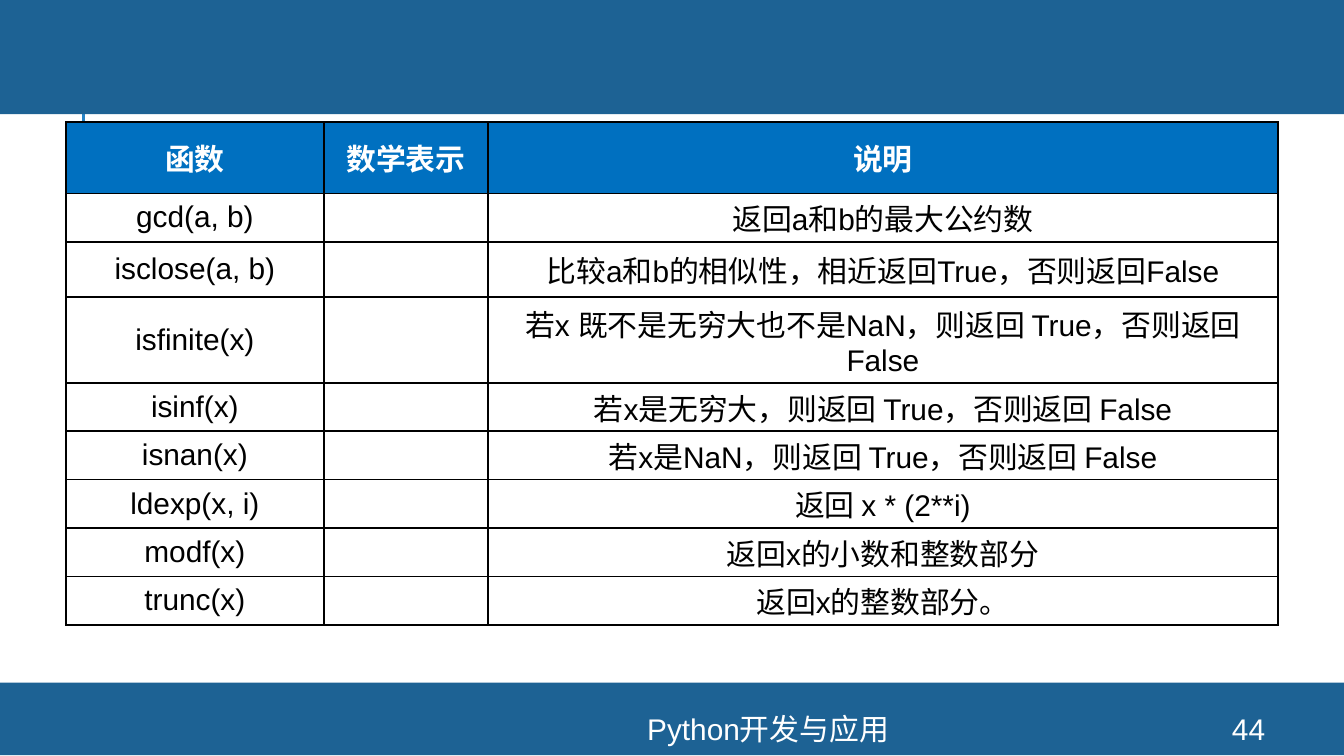
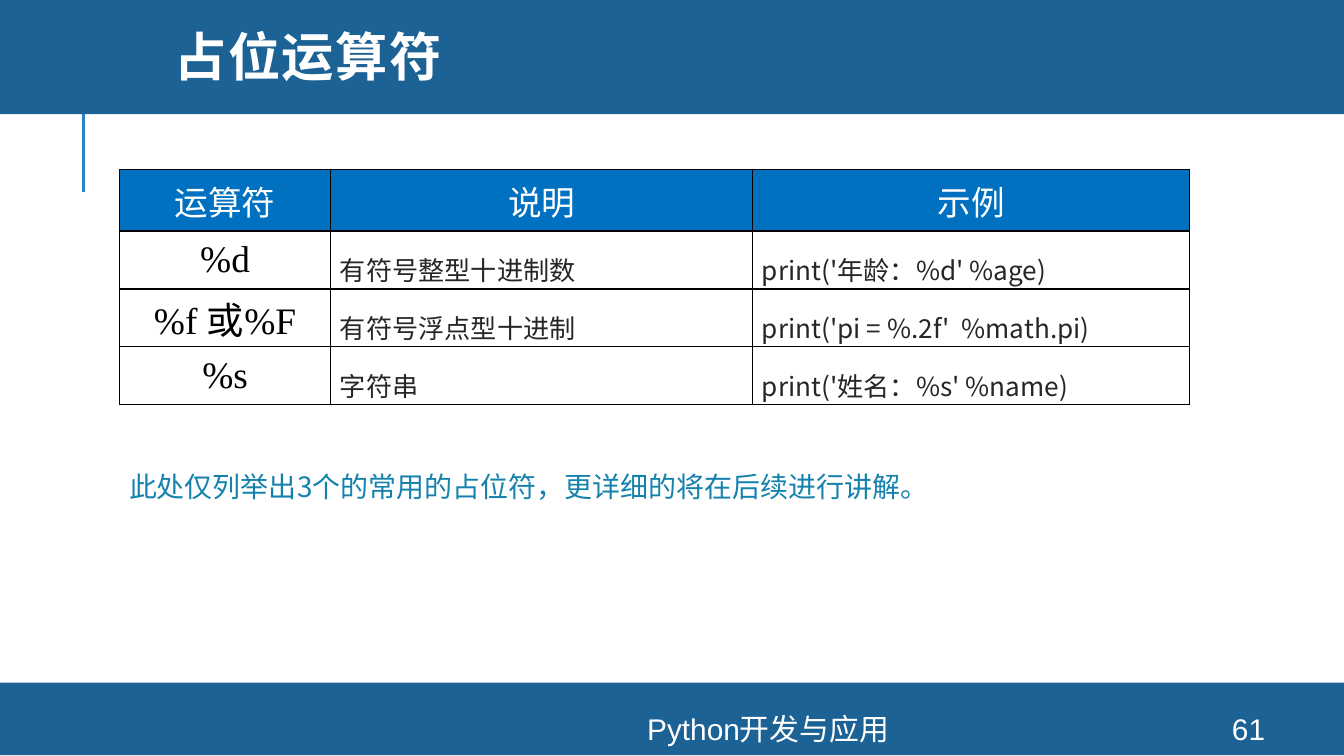
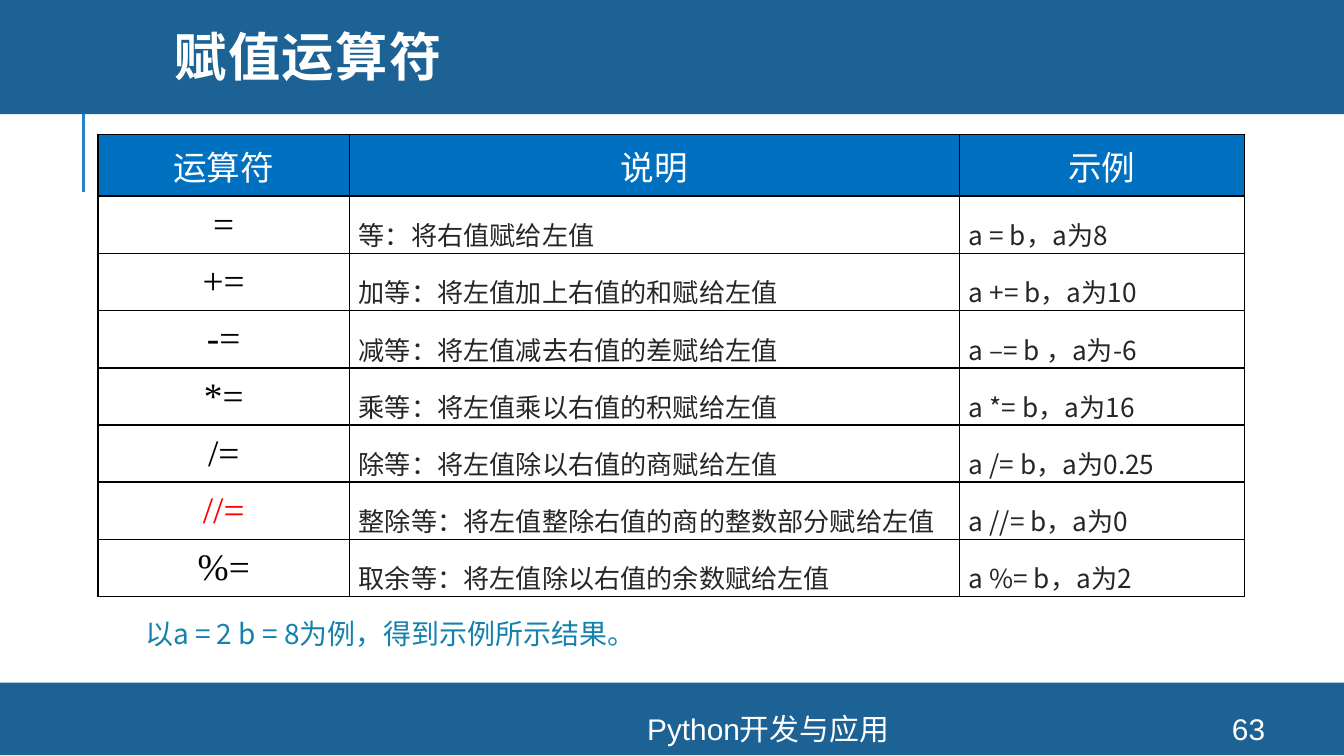
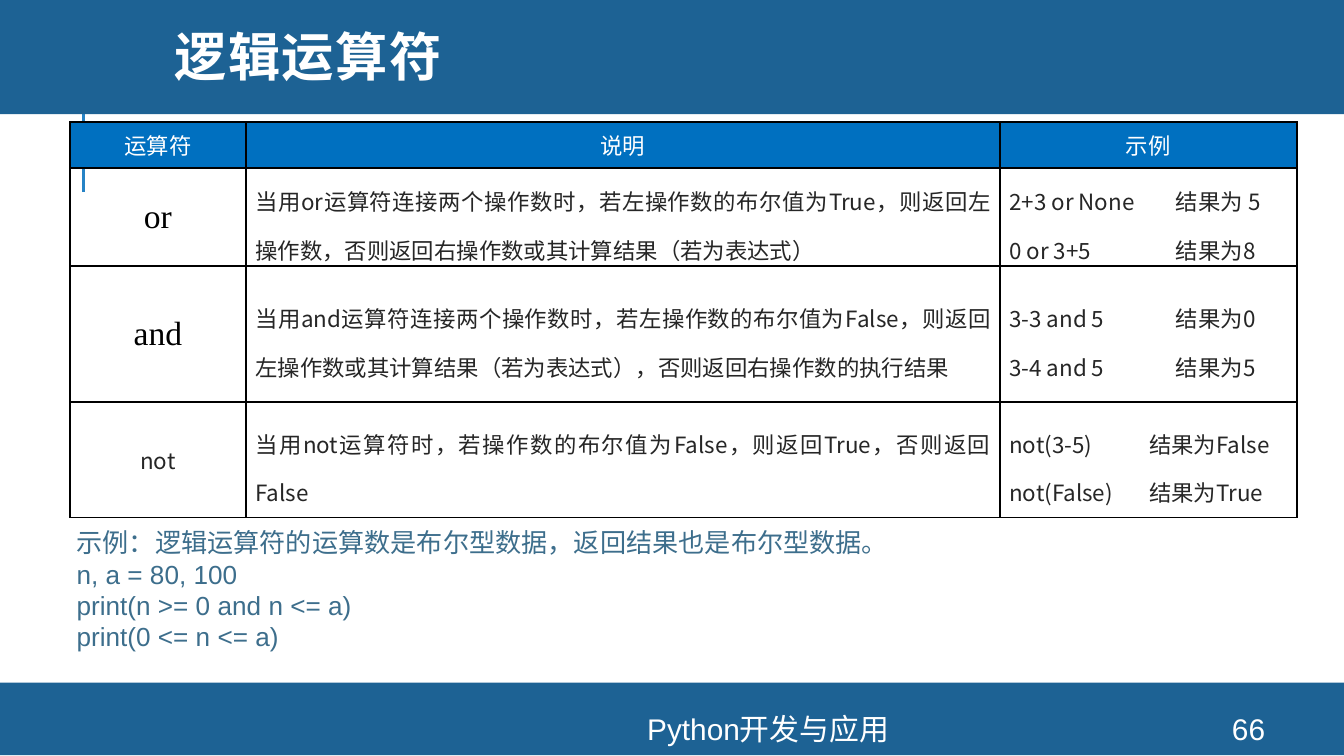
from dataclasses import dataclass, replace

import pptx
import pptx.dml.color
import pptx.enum.lang
import pptx.enum.shapes
import pptx.enum.text
import pptx.oxml
import pptx.oxml.ns
import pptx.util
from pptx.util import Inches

ALIGN = pptx.enum.text.PP_ALIGN
ANCHOR = pptx.enum.text.MSO_ANCHOR
qn = pptx.oxml.ns.qn


class Theme:
    band = "1D6294"
    accent_line = "2683C6"
    header_fill = "0070C0"
    white = "FFFFFF"
    black = "000000"
    body = "262626"
    note = "1482AC"
    code = "3D6E8C"
    warning = "FF0000"
    sans = "Arial"
    serif = "Times New Roman"
    chinese = "Noto Sans CJK SC"
    display = "Montserrat"
    title_size = 28
    operator_size = 20
    header_size = 18
    footer_size = 16
    note_size = 15
    body_size = 14
    small_size = 12


@dataclass(frozen=True)
class TextStyle:
    size: float
    font: str
    color: str
    align: ALIGN = ALIGN.LEFT
    anchor: ANCHOR = ANCHOR.MIDDLE
    bold: bool = False
    line_spacing: float = 1.0
    letter_spacing: int = 0  # hundredths of a point
    margins: tuple = (0.1, 0.05)  # left and right, top and bottom
    tab: float = 0


TITLE = TextStyle(Theme.title_size, Theme.chinese, Theme.white, bold=True,
                  line_spacing=0.8, letter_spacing=80)
FOOTER = TextStyle(Theme.footer_size, Theme.sans, Theme.white, ALIGN.CENTER)
NOTE = TextStyle(Theme.note_size, Theme.chinese, Theme.note,
                 line_spacing=0.9, margins=(0.07, 0.04))
CODE_NOTE = TextStyle(Theme.body_size, Theme.sans, Theme.code, ALIGN.JUSTIFY,
                      ANCHOR.TOP, margins=(0.05, 0.05))
HEADER = TextStyle(Theme.header_size, Theme.sans, Theme.white, ALIGN.CENTER, ANCHOR.TOP)
FUNCTION = TextStyle(Theme.footer_size, Theme.sans, Theme.black, ALIGN.CENTER,
                     margins=(0.07, 0))
FUNCTION_HEADER = replace(FUNCTION, color=Theme.white, bold=True)
OPERATOR = replace(FUNCTION, size=Theme.operator_size, font=Theme.serif)
EXAMPLE = TextStyle(Theme.body_size, Theme.chinese, Theme.body, ALIGN.JUSTIFY,
                    line_spacing=1.5, margins=(0.07, 0))
DESCRIPTION = replace(EXAMPLE, anchor=ANCHOR.TOP)
SMALL = replace(EXAMPLE, size=Theme.small_size)


def rgb(color):
    return pptx.dml.color.RGBColor.from_string(color)


# Text
def style_paragraph(paragraph, style):
    paragraph.alignment = style.align
    paragraph.line_spacing = style.line_spacing
    properties = paragraph._p.get_or_add_pPr()
    if style.tab:
        tabs = pptx.oxml.parse_xml(
            f'<a:tabLst {pptx.oxml.ns.nsdecls("a")}>'
            f'<a:tab pos="{Inches(style.tab)}" algn="l"/></a:tabLst>')
        properties.append(tabs)
    font = paragraph.font
    font.size = pptx.util.Pt(style.size)
    font.name = style.font
    font.bold = style.bold
    font.color.rgb = rgb(style.color)
    font.language_id = pptx.enum.lang.MSO_LANGUAGE_ID.SIMPLIFIED_CHINESE
    run_defaults = properties.find(qn("a:defRPr"))
    if style.letter_spacing:
        run_defaults.set("spc", str(style.letter_spacing))
    east_asian = run_defaults.makeelement(qn("a:ea"), {"typeface": Theme.chinese})
    run_defaults.find(qn("a:latin")).addnext(east_asian)


def write_text(frame, text, style):
    for index, line in enumerate(text.split("\n")):
        paragraph = frame.add_paragraph() if index else frame.paragraphs[0]
        if line:
            paragraph.add_run().text = line
        style_paragraph(paragraph, style)


def set_margins(holder, margins):
    holder.margin_left = holder.margin_right = Inches(margins[0])
    holder.margin_top = holder.margin_bottom = Inches(margins[1])


def add_text(slide, box, text, style):
    frame = slide.shapes.add_textbox(*map(Inches, box)).text_frame
    frame.word_wrap = True
    frame.vertical_anchor = style.anchor
    set_margins(frame, style.margins)
    write_text(frame, text, style)


# Slide frame: accent line, bands, title, footer
def add_band(slide, top, height):
    shape = slide.shapes.add_shape(pptx.enum.shapes.MSO_SHAPE.RECTANGLE,
                                   0, Inches(top), Inches(10), Inches(height))
    shape.shadow.inherit = False
    shape.fill.solid()
    shape.fill.fore_color.rgb = rgb(Theme.band)
    shape.line.fill.background()


def add_accent_line(slide):
    line = slide.shapes.add_connector(
        pptx.enum.shapes.MSO_CONNECTOR.STRAIGHT,
        Inches(0.62), Inches(1.43), Inches(0.62), Inches(0.68))
    line.line.color.rgb = rgb(Theme.accent_line)
    line.line.width = pptx.util.Pt(1.5)
    properties = line._element.spPr
    properties.append(properties.makeelement(qn("a:effectLst"), {}))


def add_framed_slide(presentation, number, title="", title_font=Theme.chinese):
    slide = presentation.slides.add_slide(presentation.slide_layouts[6])
    add_accent_line(slide)
    add_band(slide, 5.08, 0.54)
    add_band(slide, -0.03, 0.88)
    if title:
        add_text(slide, (1.2, 0, 8.49, 0.91), title, replace(TITLE, font=title_font))
    add_text(slide, (2.61, 5.31, 6.21, 0.23), "Python开发与应用", FOOTER)
    add_text(slide, (8.89, 5.31, 0.8, 0.23), str(number), FOOTER)
    return slide


# Tables
def add_borders(cell):
    properties = cell._tc.get_or_add_tcPr()
    for index, side in enumerate(("lnL", "lnR", "lnT", "lnB")):
        border = pptx.oxml.parse_xml(
            f'<a:{side} {pptx.oxml.ns.nsdecls("a")} w="{pptx.util.Pt(1)}"><a:solidFill>'
            f'<a:srgbClr val="{Theme.black}"/></a:solidFill></a:{side}>')
        properties.insert(index, border)


def fill_cell(cell, text, style, fill=None):
    if fill:
        cell.fill.solid()
        cell.fill.fore_color.rgb = rgb(fill)
    else:
        cell.fill.background()
    add_borders(cell)
    cell.vertical_anchor = style.anchor
    set_margins(cell, style.margins)
    write_text(cell.text_frame, text, style)


def add_grid(slide, left, top, widths, heights, header, rows,
             header_style, column_styles, special_styles=None):
    """special_styles maps (row, column), header row 0, to another style."""
    special_styles = special_styles or {}
    table = slide.shapes.add_table(
        len(heights), len(widths), Inches(left), Inches(top),
        Inches(sum(widths)), Inches(sum(heights))).table
    table.first_row = table.horz_banding = False
    for column, width in zip(table.columns, widths):
        column.width = Inches(width)
    for row, height in zip(table.rows, heights):
        row.height = Inches(height)
    for column, text in enumerate(header):
        fill_cell(table.cell(0, column), text, header_style, Theme.header_fill)
    for row, texts in enumerate(rows, 1):
        for column, text in enumerate(texts):
            style = special_styles.get((row, column), column_styles[column])
            fill_cell(table.cell(row, column), text, style)


OPERATOR_HEADER = ("运算符", "说明", "示例")


# Slides
def build_math_functions(presentation):
    slide = add_framed_slide(presentation, 44)
    functions = [
        ("gcd(a, b)", "返回a和b的最大公约数"),
        ("isclose(a, b)", "比较a和b的相似性，相近返回True，否则返回False"),
        ("isfinite(x)", "若x 既不是无穷大也不是NaN，则返回 True，否则返回 False"),
        ("isinf(x)", "若x是无穷大，则返回 True，否则返回 False"),
        ("isnan(x)", "若x是NaN，则返回 True，否则返回 False"),
        ("ldexp(x, i)", "返回 x * (2**i)"),
        ("modf(x)", "返回x的小数和整数部分"),
        ("trunc(x)", "返回x的整数部分。"),
    ]
    add_grid(slide, 0.49, 0.91, (1.92, 1.22, 5.88),
             [0.53, 0.36, 0.41, 0.64] + [0.36] * 5,
             ("函数", "数学表示", "说明"),
             [(name, "", meaning) for name, meaning in functions],
             FUNCTION_HEADER, [FUNCTION] * 3)


def build_placeholder_operators(presentation):
    slide = add_framed_slide(presentation, 61, "占位运算符")
    rows = [
        ("%d", "有符号整型十进制数", "print('年龄：%d' %age)"),
        ("%f 或%F", "有符号浮点型十进制", "print('pi = %.2f'  %math.pi)"),
        ("%s", "字符串", "print('姓名：%s' %name)"),
    ]
    add_grid(slide, 0.89, 1.26, (1.57, 3.14, 3.25), [0.46] + [0.43] * 3,
             OPERATOR_HEADER, rows, HEADER, (OPERATOR, DESCRIPTION, EXAMPLE))
    add_text(slide, (0.89, 3.36, 8.54, 0.55),
             "此处仅列举出3个的常用的占位符，更详细的将在后续进行讲解。", NOTE)


def build_assignment_operators(presentation):
    slide = add_framed_slide(presentation, 63, "赋值运算符")
    rows = [
        ("=", "等：将右值赋给左值", "a = b，a为8"),
        ("+=", "加等：将左值加上右值的和赋给左值", "a += b，a为10"),
        ("-=", "减等：将左值减去右值的差赋给左值", "a –= b ，a为-6"),
        ("*=", "乘等：将左值乘以右值的积赋给左值", "a *= b，a为16"),
        ("/=", "除等：将左值除以右值的商赋给左值", "a /= b，a为0.25"),
        ("//=", "整除等：将左值整除右值的商的整数部分赋给左值", "a //= b，a为0"),
        ("%=", "取余等：将左值除以右值的余数赋给左值", "a %= b，a为2"),
    ]
    add_grid(slide, 0.73, 1, (1.87, 4.54, 2.12), [0.46] + [2.98 / 7] * 7,
             OPERATOR_HEADER, rows, HEADER, (OPERATOR, DESCRIPTION, EXAMPLE),
             {(6, 0): replace(OPERATOR, color=Theme.warning)})
    add_text(slide, (1.01, 4.5, 8.38, 0.46),
             "以a = 2 b = 8为例，得到示例所示结果。", NOTE)


def build_logical_operators(presentation):
    slide = add_framed_slide(presentation, 66, "逻辑运算符", Theme.display)
    rows = [
        ("or", "当用or运算符连接两个操作数时，若左操作数的布尔值为True，则返回左操作数，"
               "否则返回右操作数或其计算结果（若为表达式）",
         "2+3 or None\t结果为 5\n0 or 3+5\t结果为8"),
        ("and", "当用and运算符连接两个操作数时，若左操作数的布尔值为False，则返回左操作数"
                "或其计算结果（若为表达式），否则返回右操作数的执行结果",
         "3-3 and 5\t结果为0\n3-4 and 5\t结果为5"),
        ("not", "当用not运算符时，若操作数的布尔值为False，则返回True，否则返回False",
         "not(3-5)\t结果为False\nnot(False)\t结果为True"),
    ]
    add_grid(slide, 0.52, 0.91, (1.31, 5.61, 2.21), (0.34, 0.73, 1.01, 0.86),
             OPERATOR_HEADER, rows, replace(HEADER, size=Theme.small_size),
             (replace(OPERATOR, size=Theme.header_size), SMALL, replace(SMALL, tab=1.24)),
             {(3, 0): replace(SMALL, align=ALIGN.CENTER, line_spacing=1.0),
              (3, 2): replace(SMALL, align=ALIGN.LEFT, tab=1.04)})
    add_text(slide, (0.52, 3.87, 8.57, 1.06),
             "示例：逻辑运算符的运算数是布尔型数据，返回结果也是布尔型数据。\n"
             "n, a = 80, 100\nprint(n >= 0 and n <= a)\nprint(0 <= n <= a)", CODE_NOTE)


def main():
    presentation = pptx.Presentation()
    presentation.slide_width = Inches(10)
    presentation.slide_height = presentation.slide_width * 9 // 16
    build_math_functions(presentation)
    build_placeholder_operators(presentation)
    build_assignment_operators(presentation)
    build_logical_operators(presentation)
    presentation.save("out.pptx")


if __name__ == "__main__":
    main()
